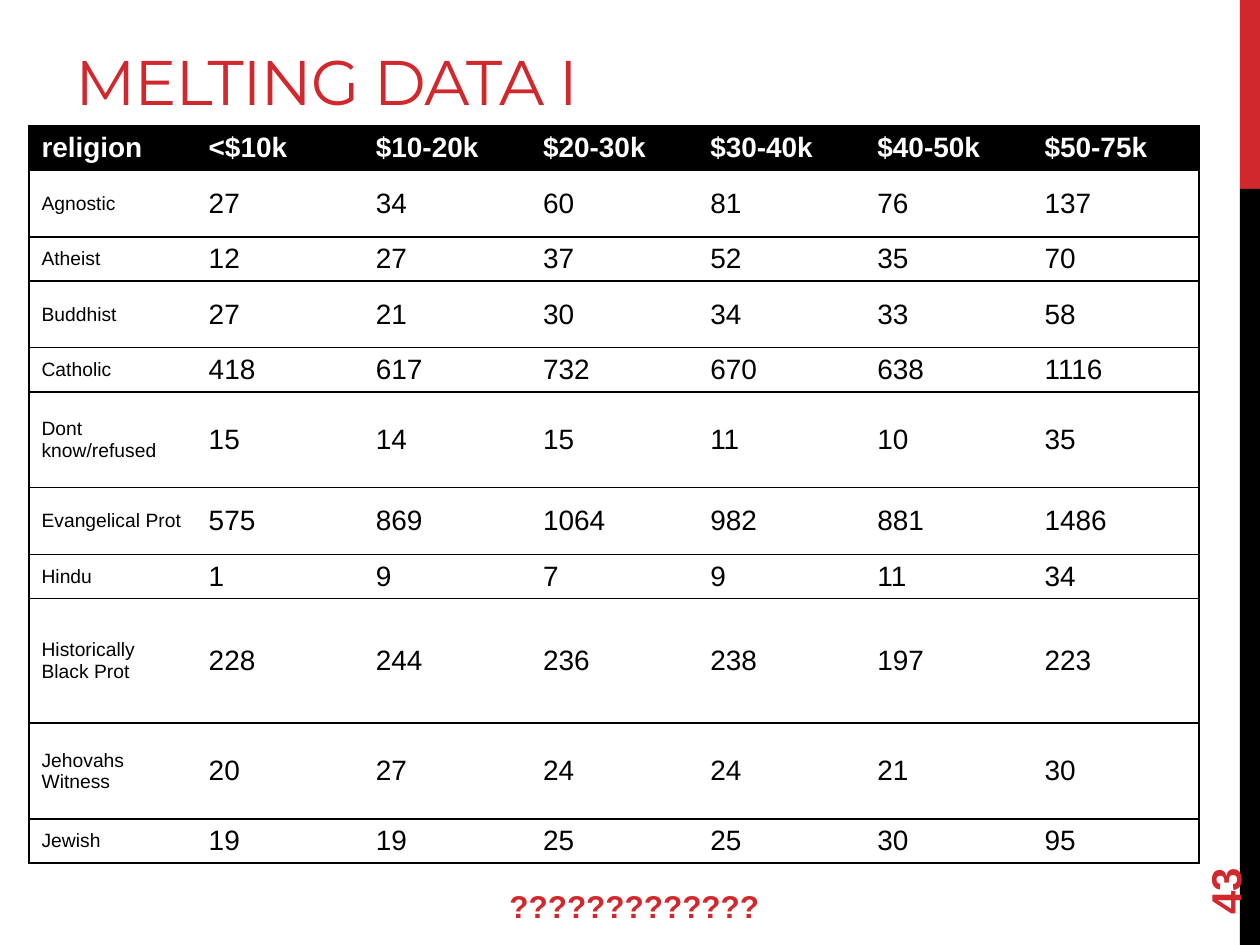
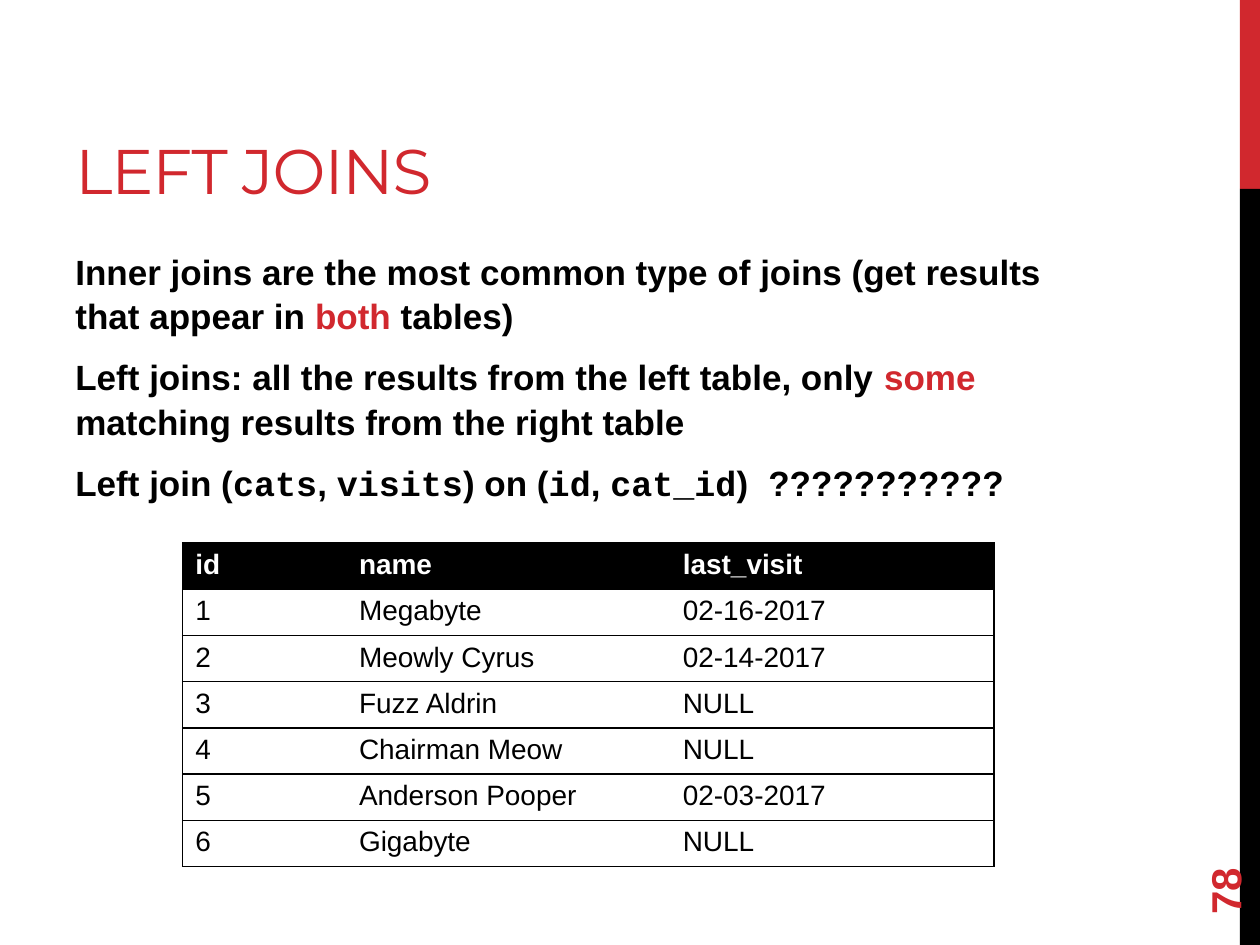
from dataclasses import dataclass

from lxml.etree import SubElement
from pptx import Presentation
from pptx.dml.color import RGBColor
from pptx.enum.shapes import MSO_SHAPE as Shape
from pptx.enum.text import MSO_ANCHOR as Anchor, PP_ALIGN as Align
from pptx.oxml.ns import qn
from pptx.util import Inches, Pt


@dataclass(frozen=True)
class Theme:
    red: RGBColor = RGBColor(0xD1, 0x28, 0x2E)
    black: RGBColor = RGBColor(0, 0, 0)
    white: RGBColor = RGBColor(255, 255, 255)
    title_font: str = "Montserrat"
    text_font: str = "Arial"
    code_font: str = "Courier New"
    title_size: int = 36
    number_size: int = 24
    body_size: int = 20
    question_size: int = 18
    table_size: int = 16
    label_size: int = 11
    rule_width: int = 1


THEME = Theme()
NO_GRID_STYLE = "{2D5ABB26-0587-4C30-8999-92F81FD0307C}"

INCOME_ROWS = [
    ["religion", "<$10k", "$10-20k", "$20-30k", "$30-40k", "$40-50k", "$50-75k"],
    ["Agnostic", 27, 34, 60, 81, 76, 137],
    ["Atheist", 12, 27, 37, 52, 35, 70],
    ["Buddhist", 27, 21, 30, 34, 33, 58],
    ["Catholic", 418, 617, 732, 670, 638, 1116],
    ["Dont know/refused", 15, 14, 15, 11, 10, 35],
    ["Evangelical Prot", 575, 869, 1064, 982, 881, 1486],
    ["Hindu", 1, 9, 7, 9, 11, 34],
    ["Historically Black Prot", 228, 244, 236, 238, 197, 223],
    ["Jehovahs Witness", 20, 27, 24, 24, 21, 30],
    ["Jewish", 19, 19, 25, 25, 30, 95],
]
INCOME_HEIGHTS = [0.35, 0.53, 0.35, 0.53, 0.35, 0.76, 0.53, 0.35, 0.99, 0.76, 0.35]

VISIT_ROWS = [
    ["id", "name", "last_visit"],
    [1, "Megabyte", "02-16-2017"],
    [2, "Meowly Cyrus", "02-14-2017"],
    [3, "Fuzz Aldrin", "NULL"],
    [4, "Chairman Meow", "NULL"],
    [5, "Anderson Pooper", "02-03-2017"],
    [6, "Gigabyte", "NULL"],
]

PLAIN, KEY, CODE = "plain", "key", "code"
JOIN_NOTES = [
    [("Inner joins are the most common type of joins (get results that appear in ", PLAIN),
     ("both", KEY), (" tables)", PLAIN)],
    [("Left joins: all the results from the left table, only ", PLAIN),
     ("some", KEY), (" matching results from the right table", PLAIN)],
    [("Left join (", PLAIN), ("cats", CODE), (", ", PLAIN), ("visits", CODE),
     (") on (", PLAIN), ("id", CODE), (", ", PLAIN), ("cat_id", CODE),
     (")\t???????????", PLAIN)],
]


def style_run(run, size, color, bold=False, font=THEME.text_font):
    run.font.name = font
    run.font.size = Pt(size)
    run.font.bold = bold
    run.font.color.rgb = color


def add_text_box(slide, box, anchor=Anchor.TOP):
    shape = slide.shapes.add_textbox(*map(Inches, box))
    shape.text_frame.word_wrap = True
    shape.text_frame.vertical_anchor = anchor
    return shape


def add_band(slide, box, color):
    band = slide.shapes.add_shape(Shape.RECTANGLE, *map(Inches, box))
    band.shadow.inherit = False
    band.fill.solid()
    band.fill.fore_color.rgb = color
    band.line.fill.background()


def add_title(slide, text, height):
    frame = add_text_box(slide, (0.5, 0.17, 6.33, height), Anchor.BOTTOM).text_frame
    frame.margin_bottom = Inches(0.03)
    frame.text = text
    run = frame.paragraphs[0].runs[0]
    style_run(run, THEME.title_size, THEME.red, font=THEME.title_font)
    run.font._element.set("spc", "-60")


def add_page_number(slide, number):
    shape = add_text_box(slide, (9, 6.44, 1.44, 0.4), Anchor.MIDDLE)
    shape.rotation = 270
    shape.text_frame.text = str(number)
    style_run(shape.text_frame.paragraphs[0].runs[0], THEME.number_size, THEME.red, True)


def add_framed_slide(presentation, title, title_height, number):
    """Add a blank slide with the side bands, title and page number."""
    slide = presentation.slides.add_slide(presentation.slide_layouts[6])
    add_band(slide, (9.84, 0, 0.16, 1.5), THEME.red)
    add_band(slide, (9.84, 1.5, 0.16, 6), THEME.black)
    add_title(slide, title, title_height)
    add_page_number(slide, number)
    return slide


def add_cell_rules(cell, sides):
    """Draw rules on the named sides, which must be in the order L, R, T, B."""
    properties = cell._tc.get_or_add_tcPr()
    for side in sides:
        line = SubElement(properties, qn(f"a:ln{side}"), w=str(Pt(THEME.rule_width)))
        fill = SubElement(line, qn("a:solidFill"))
        SubElement(fill, qn("a:srgbClr"), val=str(THEME.black))


def add_ruled_table(slide, left, top, widths, heights, rows, anchor=Anchor.TOP,
                    margin=0.05, label_size=THEME.table_size):
    """Table with a black header, horizontal rules and an outer frame."""
    frame = slide.shapes.add_table(len(rows), len(widths), Inches(left), Inches(top),
                                   Inches(sum(widths)), Inches(sum(heights)))
    table = frame.table
    table._tbl.tblPr.find(qn("a:tableStyleId")).text = NO_GRID_STYLE
    table.horz_banding = False
    for column, width in zip(table.columns, widths):
        column.width = Inches(width)
    for row, height in zip(table.rows, heights):
        row.height = Inches(height)
    last = len(widths) - 1
    for i, values in enumerate(rows):
        header = i == 0
        for j, value in enumerate(values):
            cell = table.cell(i, j)
            cell.vertical_anchor = anchor
            cell.margin_top = cell.margin_bottom = Inches(margin)
            add_cell_rules(cell, "L" * (j == 0) + "R" * (j == last) + "TB")
            cell.fill.solid()
            cell.fill.fore_color.rgb = THEME.black if header else THEME.white
            cell.text = str(value)
            size = label_size if j == 0 and not header else THEME.table_size
            style_run(cell.text_frame.paragraphs[0].runs[0], size,
                      THEME.white if header else THEME.black, header)


def add_question(slide, text, box):
    frame = add_text_box(slide, box).text_frame
    frame.text = text
    frame.paragraphs[0].alignment = Align.CENTER
    style_run(frame.paragraphs[0].runs[0], THEME.question_size, THEME.red, True)


def add_tab_stop(paragraph, position):
    stops = SubElement(paragraph._p.get_or_add_pPr(), qn("a:tabLst"))
    SubElement(stops, qn("a:tab"), pos=str(Inches(position)), algn="l")


def add_notes_text(slide, box, notes):
    frame = add_text_box(slide, box).text_frame
    for i, pieces in enumerate(notes):
        paragraph = frame.paragraphs[0] if i == 0 else frame.add_paragraph()
        paragraph.line_spacing = 1.05
        paragraph.space_before = Pt(4 if i else 0)
        paragraph.space_after = Pt(6)
        if any("\t" in text for text, _ in pieces):
            add_tab_stop(paragraph, 5.5)
        for text, kind in pieces:
            run = paragraph.add_run()
            run.text = text
            style_run(run, THEME.body_size, THEME.red if kind == KEY else THEME.black,
                      True, THEME.code_font if kind == CODE else THEME.text_font)


def build_melting_slide(presentation):
    slide = add_framed_slide(presentation, "MELTING DATA I", 0.8, 43)
    columns = len(INCOME_ROWS[0])
    add_ruled_table(slide, 0.23, 1, [9.29 / columns] * columns, INCOME_HEIGHTS,
                    INCOME_ROWS, Anchor.MIDDLE, 0.04, THEME.label_size)
    add_question(slide, "?????????????", (3.24, 6.99, 3.59, 0.4))


def build_joins_slide(presentation):
    slide = add_framed_slide(presentation, "LEFT JOINS", 1.5, 78)
    add_notes_text(slide, (0.5, 1.92, 8.33, 4.78), JOIN_NOTES)
    count = len(VISIT_ROWS)
    add_ruled_table(slide, 1.45, 4.31, [1.3, 2.57, 2.57], [2.57 / count] * count, VISIT_ROWS)


def main():
    presentation = Presentation()
    presentation.slide_width = Inches(10)
    presentation.slide_height = Inches(7.5)
    build_melting_slide(presentation)
    build_joins_slide(presentation)
    presentation.save("out.pptx")


if __name__ == "__main__":
    main()
